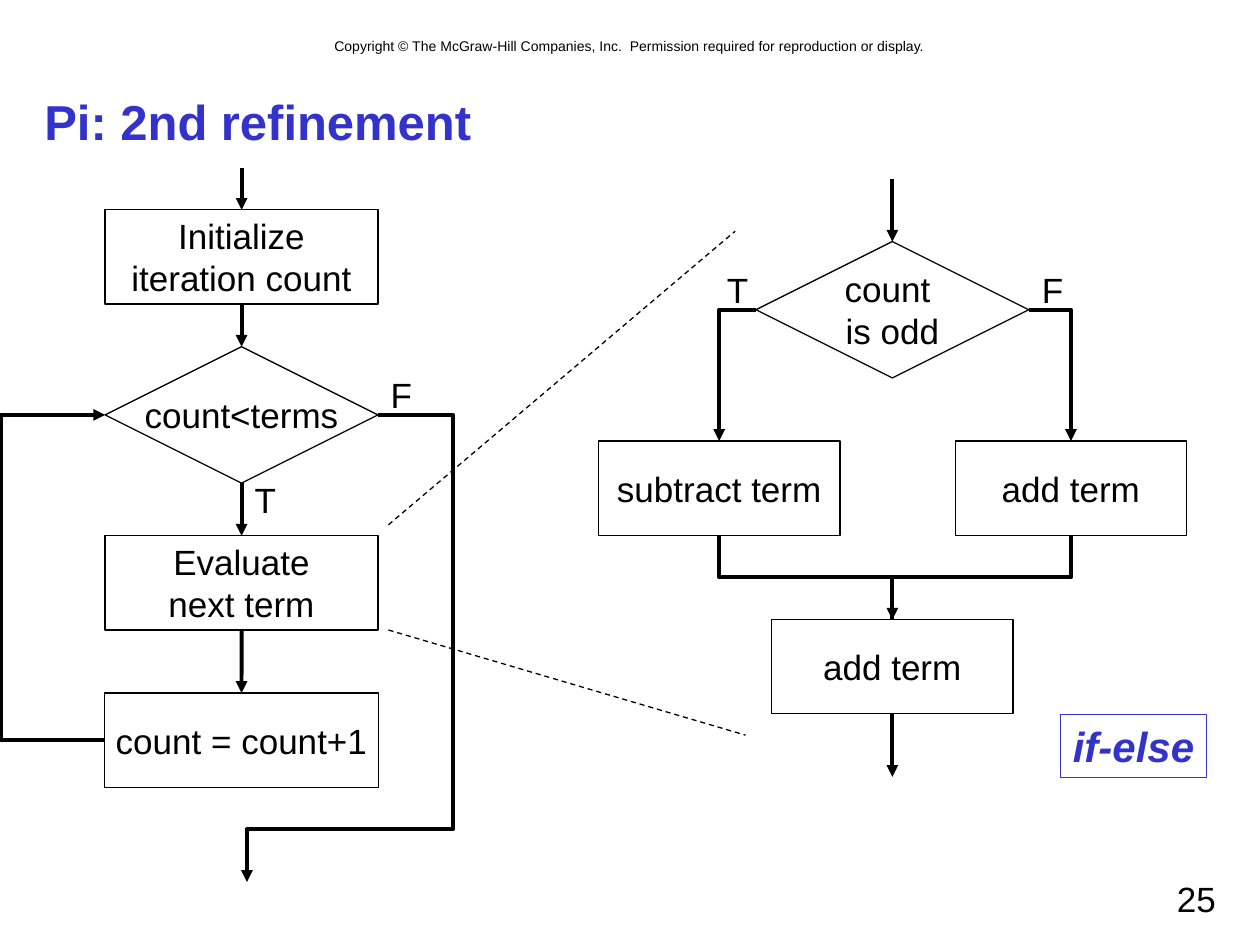
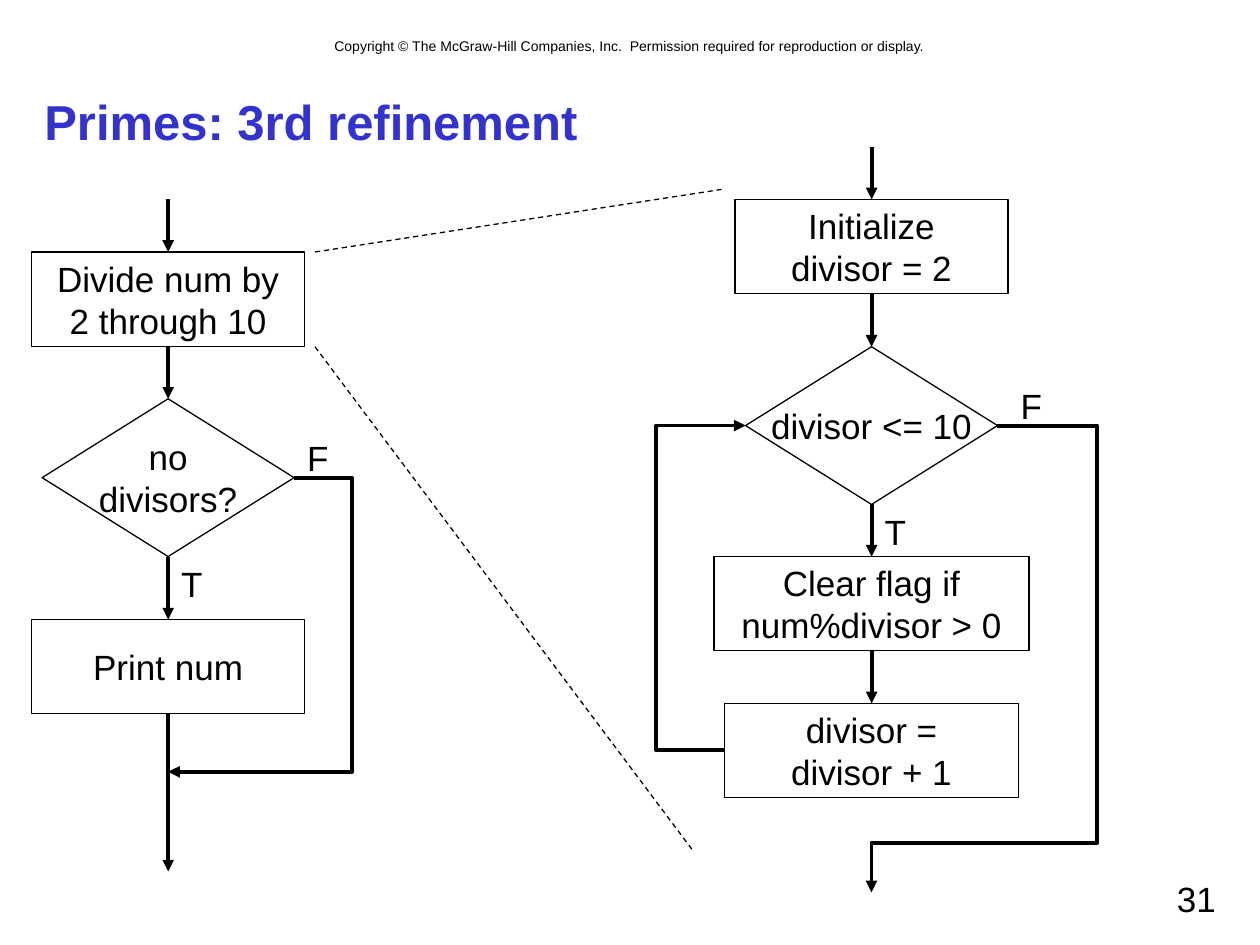
from lxml import etree
from pptx import Presentation
from pptx.dml.color import RGBColor
from pptx.enum.dml import MSO_LINE
from pptx.enum.shapes import MSO_CONNECTOR, MSO_SHAPE
from pptx.enum.text import MSO_ANCHOR, MSO_AUTO_SIZE, PP_ALIGN
from pptx.oxml.ns import qn
from pptx.util import Cm, Pt

BLACK = RGBColor(0x00, 0x00, 0x00)
BLUE = RGBColor(0x33, 0x33, 0xCC)
FONT = "Arial"
RECTANGLE = MSO_SHAPE.RECTANGLE
DECISION = MSO_SHAPE.FLOWCHART_DECISION
STRAIGHT = MSO_CONNECTOR.STRAIGHT
ELBOW = MSO_CONNECTOR.ELBOW
DASH = MSO_LINE.DASH
LEFT, CENTER, RIGHT = PP_ALIGN.LEFT, PP_ALIGN.CENTER, PP_ALIGN.RIGHT
MIDDLE = MSO_ANCHOR.MIDDLE
FIXED = MSO_AUTO_SIZE.NONE
TOP_SIDE, LEFT_SIDE, BOTTOM_SIDE, RIGHT_SIDE = range(4)
BOX_HEIGHT = 1.9
BOX_WIDTH = 5.5
TITLE_ONLY = 5
COPYRIGHT = ("Copyright © The McGraw-Hill Companies, Inc.  "
             "Permission required for reproduction or display.")


def write(shape, text, size=20, color=BLACK, align=CENTER, bold=False,
          italic=False, wrap=False):
    frame = shape.text_frame
    frame.text = text
    frame.word_wrap = wrap
    for para in frame.paragraphs:
        para.alignment = align
        font = para.font
        font.name, font.size = FONT, Pt(size)
        font.bold, font.italic = bold, italic
        font.color.rgb = color


def add_text(page, left, top, width, height, text, **style):
    box = page.shapes.add_textbox(Cm(left), Cm(top), Cm(width), Cm(height))
    write(box, text, **style)
    return box


def add_label(page, left, top, text):
    add_text(page, left, top, 0.94, 1.12, text)


def add_node(page, center, top, text, width=BOX_WIDTH, height=BOX_HEIGHT,
             kind=RECTANGLE, color=BLACK, **style):
    node = page.shapes.add_shape(kind, Cm(center - width / 2), Cm(top),
                                 Cm(width), Cm(height))
    node.shadow.inherit = False
    node.fill.background()
    node.line.color.rgb = color
    node.line.width = Pt(0.75)
    node.text_frame.vertical_anchor = MIDDLE
    write(node, text, color=color, **style)
    return node


def side(node, index):
    middle_x = node.left + node.width // 2
    middle_y = node.top + node.height // 2
    return ((middle_x, node.top), (node.left, middle_y),
            (middle_x, node.top + node.height),
            (node.left + node.width, middle_y))[index]


def add_line(page, begin, end, kind=STRAIGHT, width=2.25, dash=None, head=True):
    line = page.shapes.add_connector(kind, *map(int, (*begin, *end)))
    line.line.color.rgb = BLACK
    line.line.width = Pt(width)
    if dash:
        line.line.dash_style = dash
    properties = line.element.spPr
    if head:
        outline = properties.find(qn("a:ln"))
        etree.SubElement(outline, qn("a:tailEnd"), type="triangle")
    etree.SubElement(properties, qn("a:effectLst"))
    return line


def arrow_into(page, node, length):
    x, y = side(node, TOP_SIDE)
    add_line(page, (x, y - Cm(length)), (x, y)).end_connect(node, TOP_SIDE)


def arrow_out(page, node, length):
    x, y = side(node, BOTTOM_SIDE)
    line = add_line(page, (x, y), (x, y + Cm(length)))
    line.begin_connect(node, BOTTOM_SIDE)


def chain(page, nodes):
    for upper, lower in zip(nodes, nodes[1:]):
        line = add_line(page, side(upper, BOTTOM_SIDE), side(lower, TOP_SIDE))
        line.begin_connect(upper, BOTTOM_SIDE)
        line.end_connect(lower, TOP_SIDE)


def add_elbow(page, begin, end, via_x=None, via_y=None):
    ratios = []
    for axis, via in enumerate((via_x, via_y)):
        if via is not None:
            ratios.append((Cm(via) - begin[axis]) / (end[axis] - begin[axis]))
    line = add_line(page, begin, end, ELBOW)
    geometry = line.element.spPr.find(qn("a:prstGeom"))
    geometry.set("prst", f"bentConnector{2 + len(ratios)}")
    guides = geometry.find(qn("a:avLst"))
    for number, ratio in enumerate(ratios, 1):
        etree.SubElement(guides, qn("a:gd"), name=f"adj{number}",
                         fmla=f"val {round(ratio * 100000)}")


def add_merge(page, begin, end, head):
    across, down = end[0] - begin[0], end[1] - begin[1]
    x, y = (begin[0] + end[0]) / 2, (begin[1] + end[1]) / 2
    line = add_line(page, (x - down / 2, y + across / 2),
                    (x + down / 2, y - across / 2), ELBOW, head=head)
    line.element.spPr.find(qn("a:xfrm")).set("rot", str(90 * 60000))


def add_zoom(page, *lines):
    for line in lines:
        x1, y1, x2, y2 = map(Cm, line)
        add_line(page, (x1, y1), (x2, y2), width=0.75, dash=DASH, head=False)


def add_page(deck, title, number):
    page = deck.slides.add_slide(deck.slide_layouts[TITLE_ONLY])
    heading = page.shapes.title
    heading.left, heading.top = Cm(0.64), Cm(1.69)
    heading.width, heading.height = Cm(24.13), Cm(1.48)
    heading.text_frame.vertical_anchor = MIDDLE
    heading.text_frame.auto_size = FIXED
    write(heading, title, 28, BLUE, LEFT, bold=True, wrap=True)
    add_text(page, 18.2, 17.57, 6.56, 1.06, number, align=RIGHT, wrap=True)
    return page


def add_copyright(deck, page):
    notice = add_text(page, 1.69, 0.64, 22.01, 0.6, COPYRIGHT, size=8, wrap=True)
    deck.slide_master.shapes.element.append(notice.element)


def build_pi(deck):
    page = add_page(deck, "Pi: 2nd refinement", "25")
    main, detail = 4.87, 17.99

    start = add_node(page, main, 4.23, "Initialize\niteration count")
    check = add_node(page, main, 6.99, "count<terms", height=2.75, kind=DECISION)
    evaluate = add_node(page, main, 10.8, "Evaluate\nnext term")
    step = add_node(page, main, 13.97, "count = count+1", width=5.52)
    arrow_into(page, start, 0.85)
    chain(page, [start, check, evaluate, step])
    add_elbow(page, side(step, LEFT_SIDE), side(check, LEFT_SIDE), via_x=0.03)
    add_elbow(page, side(check, RIGHT_SIDE), (Cm(4.98), Cm(17.78)), 9.14, 16.72)
    add_label(page, 7.62, 7.41, "F")
    add_label(page, 4.88, 9.53, "T")

    odd = add_node(page, detail, 4.87, "count \vis odd", height=2.75, kind=DECISION)
    subtract = add_node(page, 14.5, 8.89, "subtract term", width=4.87)
    add = add_node(page, 21.59, 8.89, "add term", width=4.66)
    total = add_node(page, detail, 12.49, "add term", width=4.87)
    arrow_into(page, odd, 1.27)
    for branch, exit_side in ((subtract, LEFT_SIDE), (add, RIGHT_SIDE)):
        add_elbow(page, side(odd, exit_side), side(branch, TOP_SIDE))
        add_merge(page, side(branch, BOTTOM_SIDE), side(total, TOP_SIDE),
                  head=branch is subtract)
    arrow_out(page, total, 1.27)
    add_label(page, 20.75, 5.29, "F")
    add_label(page, 14.4, 5.29, "T")

    add_zoom(page, (7.83, 10.58, 14.82, 4.66), (7.83, 12.7, 15.03, 14.82))
    add_node(page, 22.85, 14.4, "if-else", 2.95, 1.28, color=BLUE, size=24,
             bold=True, italic=True)
    return page


def build_primes(deck):
    page = add_page(deck, "Primes: 3rd refinement", "31")
    main, detail = 3.39, 17.57
    diamond = {"width": 5.08, "height": 3.18, "kind": DECISION}

    divide = add_node(page, main, 5.08, "Divide num by\v2 through 10")
    check = add_node(page, main, 8.04, "no\vdivisors?", **diamond)
    output = add_node(page, main, 12.49, "Print num")
    arrow_into(page, divide, 1.06)
    chain(page, [divide, check, output])
    arrow_out(page, output, 3.18)
    add_elbow(page, side(check, RIGHT_SIDE), (Cm(main), Cm(15.56)), via_x=7.09)
    add_label(page, 5.94, 8.68, "F")
    add_label(page, 3.4, 11.22, "T")

    start = add_node(page, detail, 4.02, "Initialize\ndivisor = 2")
    limit = add_node(page, detail, 6.99, "divisor <= 10", **diamond)
    clear = add_node(page, detail, 11.22, "Clear flag if\vnum%divisor > 0",
                     width=6.35)
    step = add_node(page, detail, 14.18, "divisor =\ndivisor + 1", width=5.93)
    arrow_into(page, start, 1.06)
    chain(page, [start, limit, clear, step])
    add_elbow(page, side(step, LEFT_SIDE), side(limit, LEFT_SIDE), via_x=13.23)
    add_elbow(page, side(limit, RIGHT_SIDE), (Cm(detail), Cm(17.99)), 22.12, 16.99)
    add_label(page, 20.32, 7.62, "F")
    add_label(page, 17.58, 10.16, "T")

    add_zoom(page, (6.35, 5.08, 14.6, 3.81), (6.35, 6.99, 13.97, 17.15))


def main():
    deck = Presentation()
    deck.slide_width, deck.slide_height = Cm(25.4), Cm(19.05)
    add_copyright(deck, build_pi(deck))
    build_primes(deck)
    deck.save("out.pptx")


if __name__ == "__main__":
    main()
